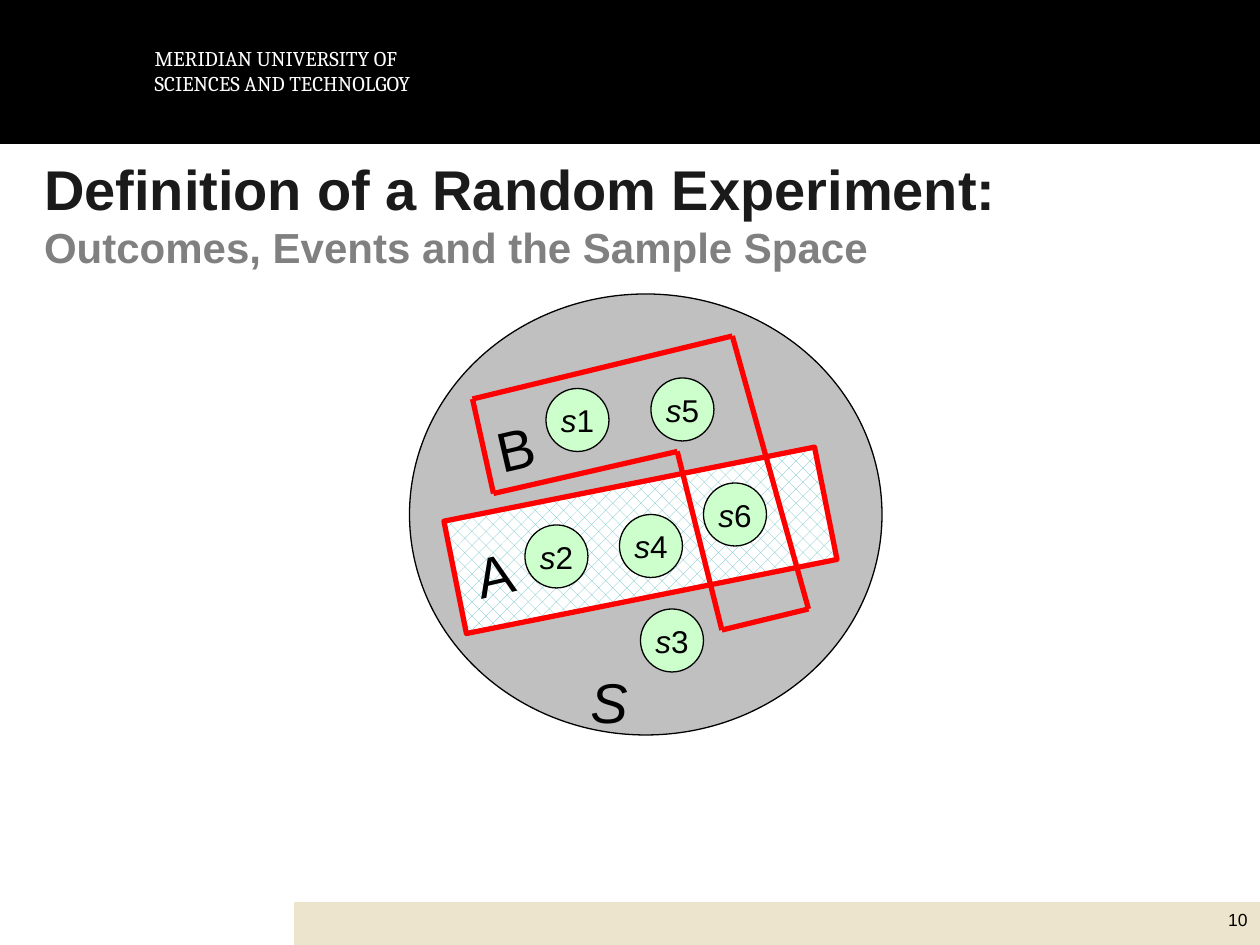
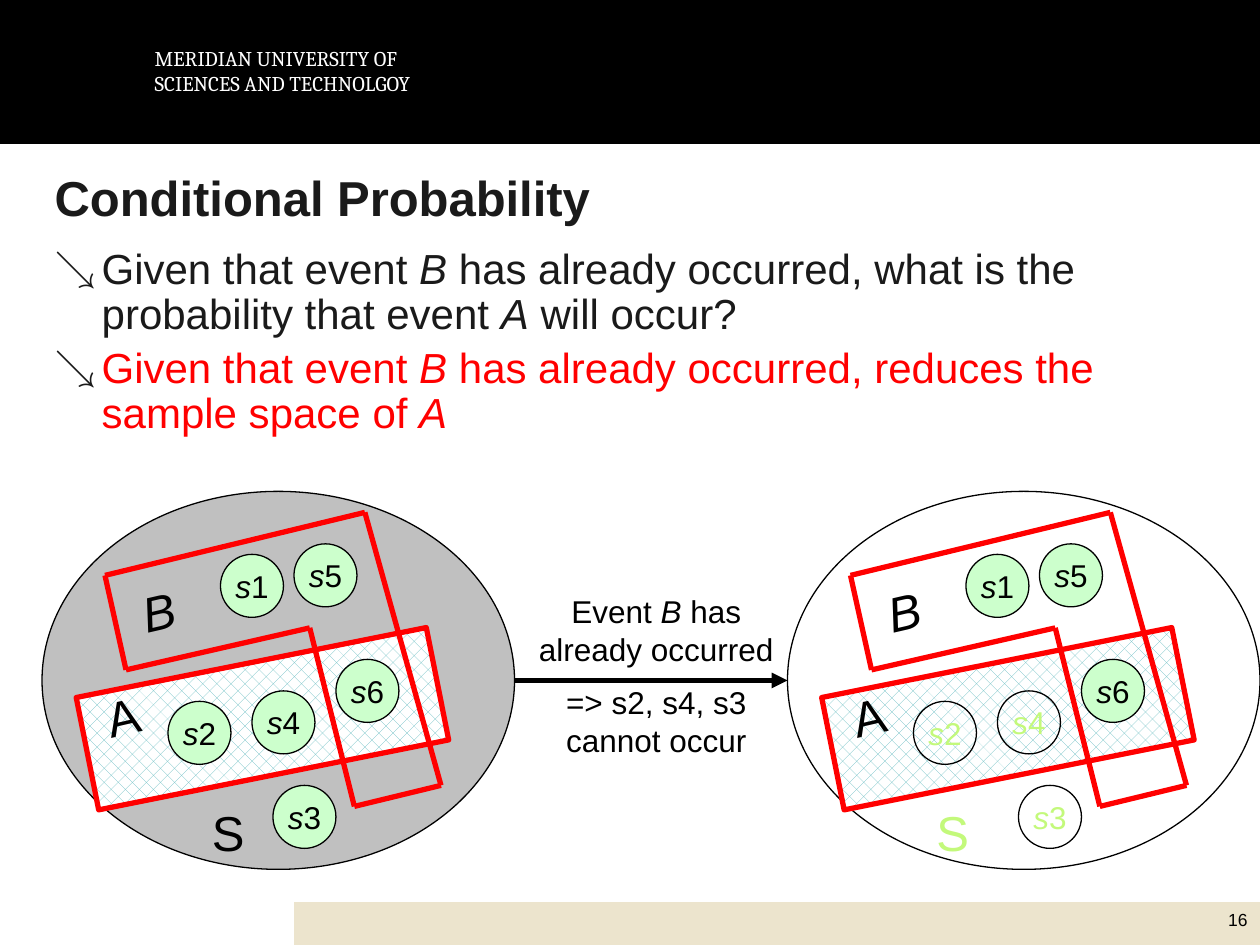
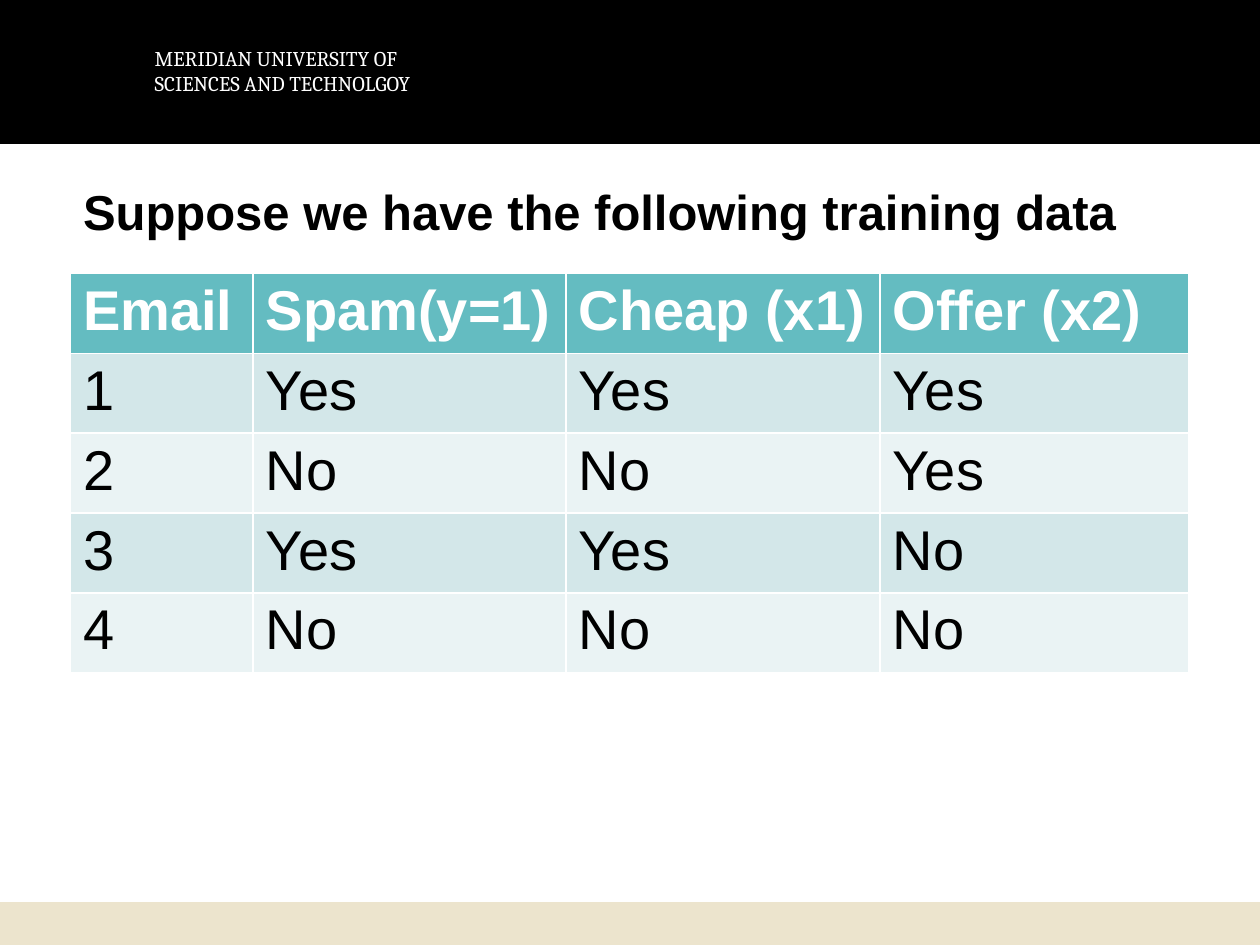
from dataclasses import dataclass
from itertools import pairwise
from typing import NamedTuple

from lxml import etree
from pptx import Presentation, util as u
from pptx.dml.color import RGBColor
from pptx.enum import dml, shapes, text
from pptx.oxml.ns import qn

BLACK = RGBColor(0, 0, 0)
WHITE = RGBColor(255, 255, 255)
INK = RGBColor(0x1A, 0x1A, 0x1A)
GREY = RGBColor(0x80, 0x80, 0x80)
SILVER = RGBColor(0xC0, 0xC0, 0xC0)
SAND = RGBColor(0xEC, 0xE4, 0xCD)
RED = RGBColor(255, 0, 0)
MINT = RGBColor(0xCC, 0xFF, 0xCC)
LIME = RGBColor(0xC3, 0xF9, 0x7B)
TEAL = RGBColor(0x64, 0xBC, 0xC1)
BANDS = (RGBColor(0xEA, 0xF3, 0xF4), RGBColor(0xD3, 0xE7, 0xE9))

COLS, ROWS = 120, 90  # grid cells of a twelfth of an inch
CELL = u.Inches(10) // COLS
DOT = 6  # diameter of an outcome, in cells
TILT = 347
EDGE = ((0, 0), (24.75, -6), (32, 20), (23.75, 22), (19.5, 5), (2, 9), (0, 0))
OVAL = shapes.MSO_SHAPE.OVAL
RECT = shapes.MSO_SHAPE.RECTANGLE
LEFT, MID, RIGHT = text.PP_ALIGN.LEFT, text.PP_ALIGN.CENTER, text.PP_ALIGN.RIGHT
TOP, CENTRE = text.MSO_ANCHOR.TOP, text.MSO_ANCHOR.MIDDLE


class Box(NamedTuple):
    """Left, top, width and height in grid cells."""
    x: float
    y: float
    w: float
    h: float

    def shift(self, x: float, y: float) -> "Box":
        return Box(self.x + x, self.y + y, self.w, self.h)

    def emu(self) -> list[int]:
        return [cells(n) for n in self]


class Tag(NamedTuple):
    words: str
    box: Box
    turn: float = 0
    tint: RGBColor = BLACK


@dataclass
class Venn:
    """Sample space; all inner places are relative to its top left corner."""
    space: Box
    dots: tuple[tuple[float, float], ...]
    strip: Box
    edge: tuple[float, float]
    tags: tuple[Tag, ...]
    size: int
    fill: RGBColor | None = SILVER
    faded: tuple[int, ...] = ()


def cells(n: float) -> int:
    return round(n * CELL)


def style(run, size: float, tint: RGBColor, bold=False, italic=False, face="Arial") -> None:
    font = run.font
    font.name, font.size, font.bold, font.italic = face, u.Pt(size), bold, italic
    font.color.rgb = tint


def write(frame, *lines: str, size=18, tint=BLACK, bold=False, face="Arial",
          align=LEFT, anchor=TOP, wrap=True, gap=0, tints=None) -> None:
    """Fill a frame, one paragraph a line; words between asterisks are italic."""
    frame.word_wrap, frame.vertical_anchor = wrap, anchor
    frame.auto_size = text.MSO_AUTO_SIZE.NONE
    for i, line in enumerate(lines):
        para = frame.add_paragraph() if i else frame.paragraphs[0]
        para.alignment = align
        para.space_before = u.Pt(gap if i else 0)
        for j, part in enumerate(line.split("*")):
            if part:
                run = para.add_run()
                run.text = part
                style(run, size, tints[i] if tints else tint, bold, j % 2 == 1, face)


def label(slide, box: Box, *lines: str, turn: float = 0, **form):
    area = slide.shapes.add_textbox(*box.emu())
    area.rotation = turn
    write(area.text_frame, *lines, **form)
    return area


def shape(slide, kind, box: Box, fill: RGBColor | None, line: RGBColor | None = None,
          width: float = 0.75):
    item = slide.shapes.add_shape(kind, *box.emu())
    item.shadow.inherit = False
    if fill is None:
        item.fill.background()
    else:
        item.fill.solid()
        item.fill.fore_color.rgb = fill
    if line is None:
        item.line.fill.background()
    else:
        item.line.color.rgb = line
        item.line.width = u.Pt(width)
    return item


def link(slide, start, end, tint: RGBColor, arrow: bool = False) -> None:
    wire = slide.shapes.add_connector(
        shapes.MSO_CONNECTOR.STRAIGHT, *(cells(n) for n in (*start, *end)))
    wire.line.color.rgb = tint
    wire.line.width = u.Pt(3)
    props = wire.element.spPr
    if arrow:
        etree.SubElement(props.find(qn("a:ln")), qn("a:tailEnd"), type="triangle")
    etree.SubElement(props, qn("a:effectLst"))


def bullet(para, mark: str, tint: RGBColor) -> None:
    props = para._p.get_or_add_pPr()
    props.set("marL", str(cells(4.5)))
    props.set("indent", str(cells(-4.5)))
    hue = etree.SubElement(props, qn("a:buClr"))
    etree.SubElement(hue, qn("a:srgbClr"), val=str(tint))
    etree.SubElement(props, qn("a:buFont"), typeface="Arial")
    etree.SubElement(props, qn("a:buChar"), char=mark)


def start(deck, box: Box, title: str, page: str = "", **form):
    """Add a slide with its title, bands and, if given, page number."""
    slide = deck.slides.add_slide(deck.slide_layouts[5])
    head = slide.shapes.title
    head.left, head.top, head.width, head.height = box.emu()
    write(head.text_frame, title, bold=True, **form)
    shape(slide, RECT, Box(0, 85.92, COLS, 4.08), SAND)
    shape(slide, RECT, Box(0, 0, COLS, 13.56), BLACK, BLACK, 2)
    label(slide, Box(13.56, 3.72, 31.68, 6), "MERIDIAN UNIVERSITY OF",
          "SCIENCES AND TECHNOLGOY", size=12, face="Cambria", tint=WHITE, wrap=False)
    if page:
        label(slide, Box(95, 86, 25, 4), page, size=10, align=RIGHT)
        shape(slide, RECT, Box(0, 85.2, 28, 4.8), WHITE)
    return slide


def draw(slide, venn: Venn) -> None:
    x, y = venn.space.x, venn.space.y
    shape(slide, OVAL, venn.space, venn.fill, BLACK)
    strip = shape(slide, RECT, venn.strip.shift(x, y), WHITE, RED, 3)
    strip.rotation = 348.7
    strip.fill.patterned()
    strip.fill.pattern = dml.MSO_PATTERN.PERCENT_25
    strip.fill.fore_color.rgb = TEAL
    strip.fill.back_color.rgb = WHITE
    for n, (left, top) in enumerate(venn.dots, 1):
        pale = n in venn.faded
        dot = shape(slide, OVAL, Box(x + left, y + top, DOT, DOT),
                    None if pale else MINT, BLACK)
        write(dot.text_frame, f"*s*{n}", tint=LIME if pale else BLACK,
              align=MID, anchor=CENTRE, wrap=False)
    for tag in venn.tags:
        label(slide, tag.box.shift(x, y), tag.words, turn=tag.turn,
              tint=tag.tint, size=venn.size, align=MID)
    left, top = x + venn.edge[0], y + venn.edge[1]
    for a, b in pairwise((left + dx, top + dy) for dx, dy in EDGE):
        link(slide, a, b, RED)


def events(deck) -> None:
    slide = start(deck, Box(3, 14.76, 117, 11.04), "Definition of a Random Experiment: ",
                  "10", size=32, tint=INK, anchor=CENTRE)
    para = slide.shapes.title.text_frame.paragraphs[0]
    para.add_line_break()
    run = para.add_run()
    run.text = "Outcomes, Events and the Sample Space"
    style(run, 24, GREY, bold=True)
    draw(slide, Venn(
        Box(39, 28, 45, 42),
        ((13, 9), (11, 22), (22, 30), (20, 21), (23, 8), (28, 18)),
        Box(4, 18, 36, 10.92), (6, 10),
        (Tag("*S*", Box(16, 35, 6, 7.56)),
         Tag("A", Box(5.16, 23.12, 3, 7.56), TILT),
         Tag("B", Box(7.2, 11, 4, 7.56), TILT)), 32))


def given(deck) -> None:
    slide = start(deck, Box(4, 13.44, 106, 10.68), "Conditional Probability",
                  "16", size=28, tint=INK, anchor=CENTRE)
    body = label(
        slide, Box(4, 23.04, 112, 22),
        "Given that event *B* has already occurred, what is the probability "
        "that event *A* will occur?",
        "Given that event *B* has already occurred, reduces the sample space of *A*",
        size=24, tints=(INK, RED), gap=4.8)
    for para in body.text_frame.paragraphs:
        para.line_spacing = 0.9
        bullet(para, "↘", INK)

    top, high, wide = 46.8, 36, 45
    sides = ((4, SILVER, (), 15, BLACK), (75, None, (2, 3, 4), 13, LIME))
    for left, fill, faded, spot, tint in sides:
        draw(slide, Venn(
            Box(left, top, wide, high),
            ((17, 6), (12, 20), (22, 28), (20, 19), (24, 5), (28, 16)),
            Box(4, 16.2, 34, 10.92), (6, 8),
            (Tag("A", Box(2, 18, 11.5, 6.84), TILT),
             Tag("*B*", Box(7, 8, 8.2, 6.84), TILT),
             Tag("S", Box(spot, 29.04, 5, 6.84), tint=tint)), 28, fill, faded))
    axis = top + high / 2
    link(slide, (sides[0][0] + wide, axis), (sides[1][0], axis), BLACK, arrow=True)
    label(slide, Box(49, 55.8, 27, 17.4), "Event *B* has already occurred",
          "=> s2, s4, s3 cannot occur", align=MID, gap=9)


def training(deck) -> None:
    slide = start(deck, Box(6.72, 16.68, 106.56, 6.84),
                  "Suppose we have the following training data", size=28)
    rows = (("Email", "Spam(y=1)", "Cheap (x1)", "Offer (x2)"),
            ("1", "Yes", "Yes", "Yes"),
            ("2", "No", "No", "Yes"),
            ("3", "Yes", "Yes", "No"),
            ("4", "No", "No", "No"))
    wides = (17.4, 29.8, 29.9, 29.4)
    box = Box(6.72, 26.04, sum(wides), 38.04)
    table = slide.shapes.add_table(len(rows), len(wides), *box.emu()).table
    for col, wide in zip(table.columns, wides):
        col.width = cells(wide)
    for r, row in enumerate(rows):
        for c, words in enumerate(row):
            cell = table.cell(r, c)
            cell.fill.solid()
            cell.fill.fore_color.rgb = BANDS[r % 2] if r else TEAL
            run = cell.text_frame.paragraphs[0].add_run()
            run.text = words
            style(run, 32, BLACK if r else WHITE, bold=r == 0)


def main() -> None:
    deck = Presentation()
    deck.slide_width, deck.slide_height = COLS * CELL, ROWS * CELL
    for build in (events, given, training):
        build(deck)
    deck.save("out.pptx")


if __name__ == "__main__":
    main()
